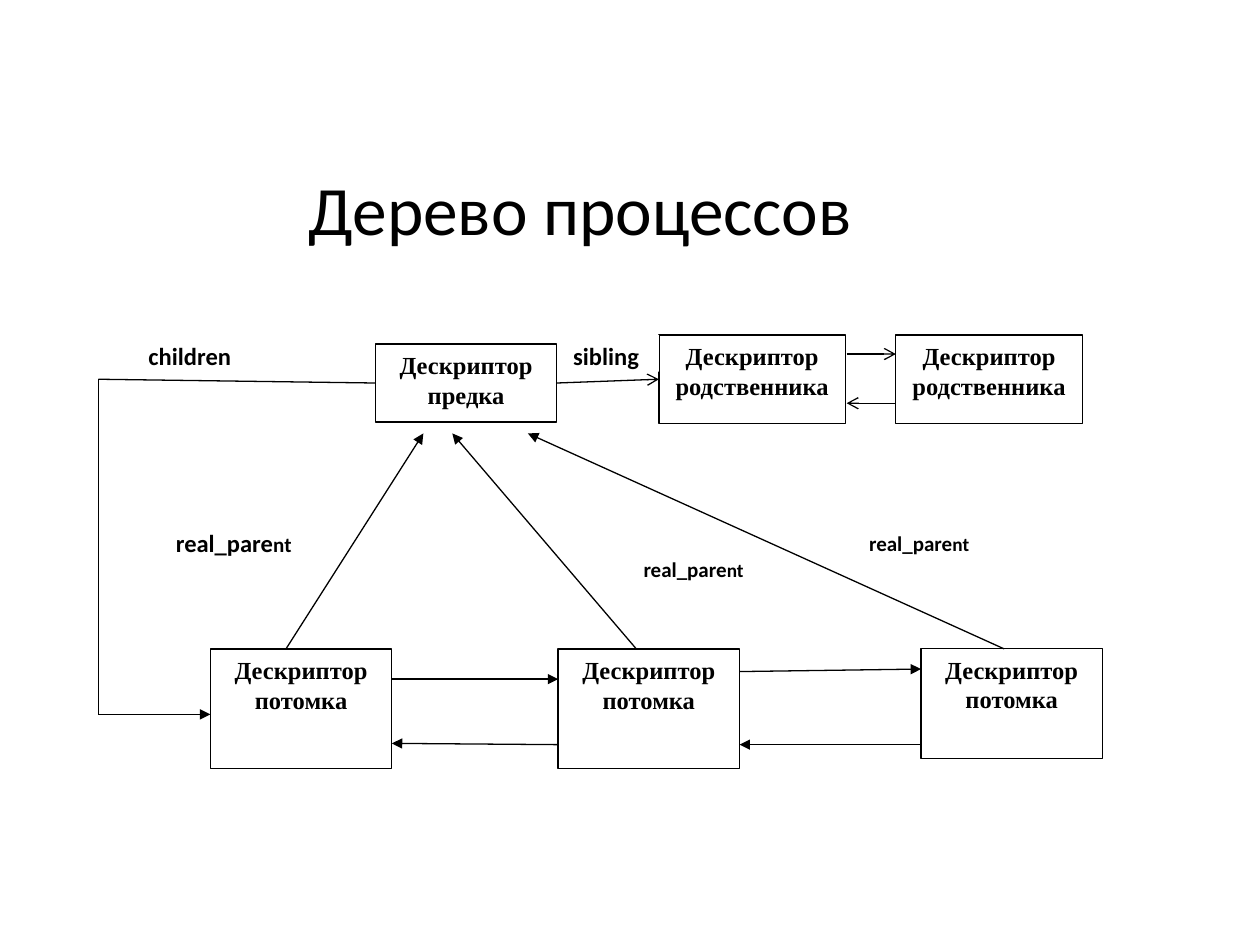
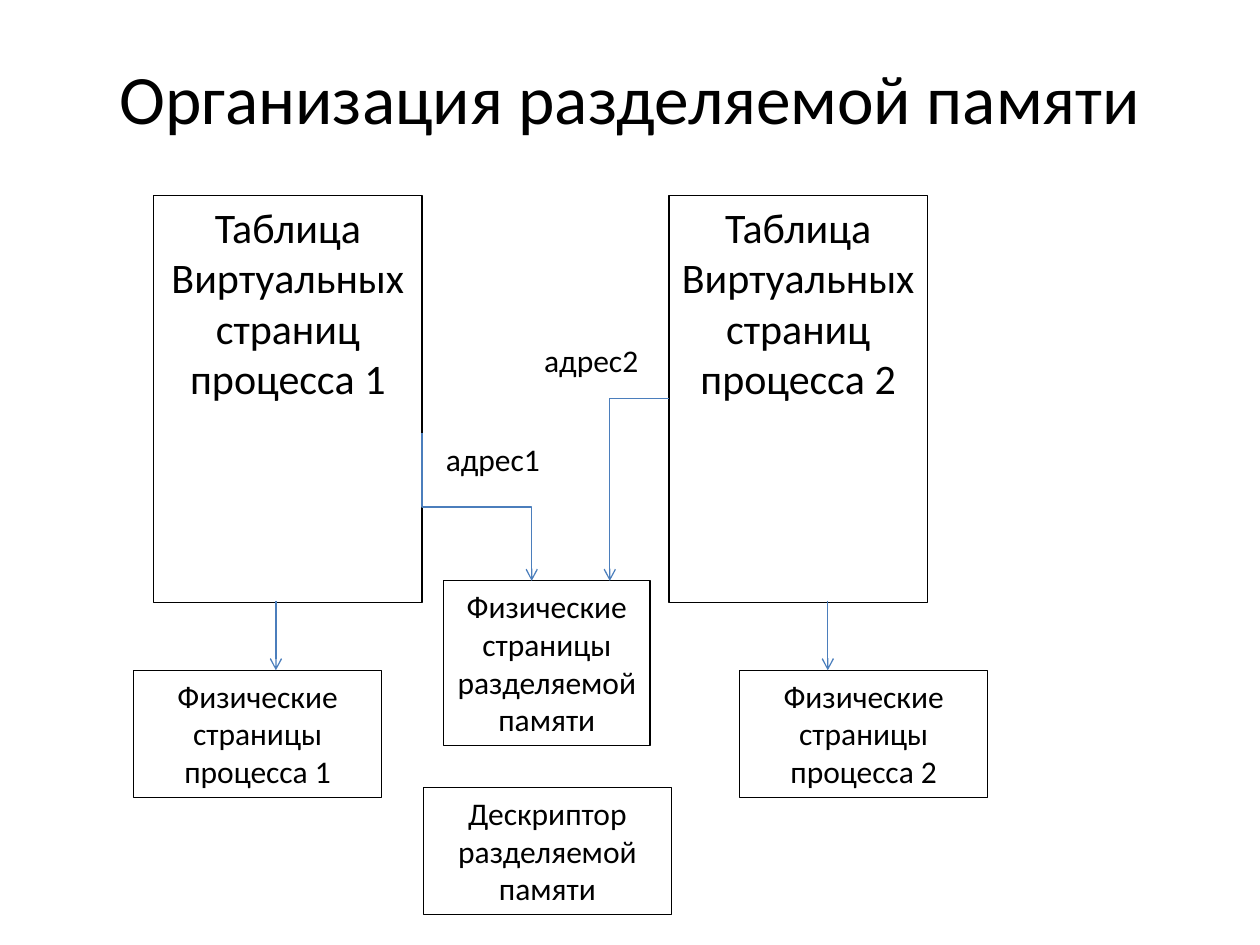
from dataclasses import dataclass

from pptx import Presentation
from pptx.dml.color import RGBColor
from pptx.enum.shapes import MSO_CONNECTOR as CONN, MSO_SHAPE as SHAPE
from pptx.enum.text import MSO_ANCHOR as ANCHOR, PP_ALIGN as ALIGN
from pptx.oxml.ns import qn
from pptx.oxml.xmlchemy import OxmlElement
from pptx.shapes.autoshape import Shape
from pptx.shapes.connector import Connector
from pptx.slide import Slide
from pptx.util import Inches, Pt

BLACK, WHITE, BLUE = "000000", "FFFFFF", "4B7EBC"
SANS, SERIF = "Calibri", "Times New Roman"
TOP, LEFT, RIGHT = 0, 1, 3


@dataclass(frozen=True)
class TextStyle:
    size: float
    font: str = SANS
    bold: bool = False
    align: ALIGN = ALIGN.CENTER
    after: float = 0


@dataclass(frozen=True)
class Box:
    text: str
    x: float
    y: float
    w: float
    h: float


@dataclass(frozen=True)
class Line:
    x1: float
    y1: float
    x2: float
    y2: float
    head: str = ""


@dataclass(frozen=True)
class ParentLabel:
    x: float
    y: float
    w: float
    size: float
    end_size: float


@dataclass(frozen=True)
class Elbow:
    line: Line
    rotation: int
    preset: str


TITLE = TextStyle(39.6)
DESCRIPTOR = TextStyle(14, SERIF, True, after=10)
LINK_NAME = TextStyle(14, bold=True, align=ALIGN.LEFT, after=10)
TABLE = TextStyle(24)
PAGES = TextStyle(18)
ADDRESS = TextStyle(18, align=ALIGN.LEFT)


def rgb(color: str) -> RGBColor:
    return RGBColor.from_string(color)


def write(s: Shape, text: str, style: TextStyle) -> None:
    tf = s.text_frame
    tf.word_wrap = True
    tf.vertical_anchor = ANCHOR.TOP
    tf.text = text
    for p in tf.paragraphs:
        p.alignment = style.align
        p.space_after = Pt(style.after)
        p.font.name = style.font
        p.font.size = Pt(style.size)
        p.font.bold = style.bold
        p.font.color.rgb = rgb(BLACK)


def add_text(slide: Slide, box: Box, style: TextStyle) -> Shape:
    s = slide.shapes.add_textbox(Inches(box.x), Inches(box.y), Inches(box.w), Inches(box.h))
    write(s, box.text, style)
    return s


def add_title(slide: Slide, box: Box) -> None:
    add_text(slide, box, TITLE).text_frame.vertical_anchor = ANCHOR.MIDDLE


def add_box(slide: Slide, box: Box, style: TextStyle, filled: bool = False,
            outlined: bool = True) -> Shape:
    s = slide.shapes.add_shape(SHAPE.RECTANGLE, Inches(box.x), Inches(box.y),
                               Inches(box.w), Inches(box.h))
    s.shadow.inherit = False
    if filled:
        s.fill.solid()
        s.fill.fore_color.rgb = rgb(WHITE)
    else:
        s.fill.background()
    if outlined:
        s.line.color.rgb = rgb(BLACK)
        s.line.width = Pt(0.75)
    else:
        s.line.fill.background()
    write(s, box.text, style)
    return s


def add_parent_label(slide: Slide, label: ParentLabel) -> None:
    style = TextStyle(label.size, bold=True, after=10)
    s = add_box(slide, Box("real_pare", label.x, label.y, label.w, 0.29), style, True, False)
    p = s.text_frame.paragraphs[0]
    r = p.add_run()
    r.text = "nt"
    for run, size in zip(p.runs, (label.size, label.end_size)):
        run.font.size = Pt(size)


def add_line(slide: Slide, line: Line, color: str = BLACK,
             kind: CONN = CONN.STRAIGHT) -> Connector:
    c = slide.shapes.add_connector(kind, Inches(line.x1), Inches(line.y1),
                                   Inches(line.x2), Inches(line.y2))
    c.line.color.rgb = rgb(color)
    c.line.width = Pt(0.75)
    if line.head:
        tail = OxmlElement("a:tailEnd")
        tail.set("type", line.head)
        c.line._get_or_add_ln().append(tail)
    c._element.spPr.append(OxmlElement("a:effectLst"))
    return c


def add_elbow(slide: Slide, elbow: Elbow, color: str) -> None:
    c = add_line(slide, elbow.line, color, CONN.ELBOW)
    sp_pr = c._element.spPr
    sp_pr.find(qn("a:xfrm")).set("rot", str(elbow.rotation * 60000))
    sp_pr.find(qn("a:prstGeom")).set("prst", elbow.preset)


def build_process_tree(slide: Slide) -> None:
    add_title(slide, Box("Дерево процессов", 0.7, 1.25, 7.81, 0.79))

    for x, h in ((1.67, 0.95), (4.43, 0.95), (7.31, 0.87)):
        add_box(slide, Box("Дескриптор потомка", x, 5.15, 1.44, h), DESCRIPTOR, True)
    parent = add_box(slide, Box("Дескриптор предка", 2.98, 2.73, 1.44, 0.62), DESCRIPTOR, True)
    relatives = [add_box(slide, Box("Дескриптор родственника", x, 2.66, 1.48, 0.7),
                         DESCRIPTOR, True) for x in (5.23, 7.11)]

    for box in (Box("children", 1.08, 2.66, 1.05, 0.29), Box("sibling", 4.45, 2.66, 0.78, 0.29)):
        add_box(slide, box, LINK_NAME, True, False)
    for label in (ParentLabel(6.75, 4.16, 1.09, 12, 11),
                  ParentLabel(4.92, 4.37, 1.17, 12, 11),
                  ParentLabel(1.25, 4.14, 1.21, 14, 12)):
        add_parent_label(slide, label)

    for line in (
        Line(3.11, 5.39, 4.43, 5.39, "triangle"),
        Line(5.87, 5.33, 7.31, 5.31, "triangle"),
        Line(4.43, 5.91, 3.11, 5.9, "triangle"),
        Line(7.31, 5.91, 5.87, 5.91, "triangle"),
        Line(2.27, 5.15, 3.36, 3.44, "triangle"),
        Line(5.05, 5.15, 3.59, 3.44, "triangle"),
        Line(7.97, 5.15, 4.19, 3.44, "triangle"),
        Line(0.78, 3.01, 0.78, 5.67),
        Line(0.78, 5.67, 1.67, 5.67, "triangle"),
        Line(6.72, 2.81, 7.11, 2.81, "arrow"),
        Line(7.11, 3.2, 6.72, 3.2, "arrow"),
    ):
        add_line(slide, line)

    children_link = add_line(slide, Line(2.98, 3.05, 0.78, 3.01))
    children_link.begin_connect(parent, LEFT)
    sibling_link = add_line(slide, Line(4.42, 3.05, 5.23, 3.01, "arrow"))
    sibling_link.begin_connect(parent, RIGHT)
    sibling_link.end_connect(relatives[0], LEFT)


def build_shared_memory(slide: Slide) -> None:
    add_title(slide, Box("Организация разделяемой памяти", 0.5, 0.3, 9, 0.93))

    for number, x, w, pages_x in ((1, 1.22, 2.13, 1.06), (2, 5.31, 2.05, 5.87)):
        table_text = f"Таблица\nВиртуальных страниц процесса {number}"
        add_box(slide, Box(table_text, x, 1.55, w, 3.23), TABLE)
        pages_text = f"Физические страницы\nпроцесса {number}"
        add_box(slide, Box(pages_text, pages_x, 5.32, 1.97, 1.01), PAGES)
    add_box(slide, Box("Физические страницы разделяемой памяти", 3.52, 4.61, 1.64, 1.31), PAGES)
    add_box(slide, Box("Дескриптор разделяемой памяти", 3.36, 6.25, 1.97, 1.01), PAGES)

    add_text(slide, Box("адрес1", 3.44, 3.44, 1.1, 0.4), ADDRESS)
    add_text(slide, Box("адрес2", 4.22, 2.66, 1.02, 0.4), ADDRESS)

    for elbow in (
        Elbow(Line(4.37, 3.59, 3.2, 4.46, "arrow"), 270, "bentConnector3"),
        Elbow(Line(4.84, 4.61, 5.31, 3.16, "arrow"), 180, "bentConnector2"),
    ):
        add_elbow(slide, elbow, BLUE)
    for x in (2.19, 6.57):
        add_line(slide, Line(x, 4.77, x, 5.32, "arrow"), BLUE)


def main() -> None:
    prs = Presentation()
    prs.slide_width = Inches(10)
    prs.slide_height = Inches(7.5)
    for build in (build_process_tree, build_shared_memory):
        build(prs.slides.add_slide(prs.slide_layouts[6]))
    prs.save("out.pptx")


if __name__ == "__main__":
    main()
